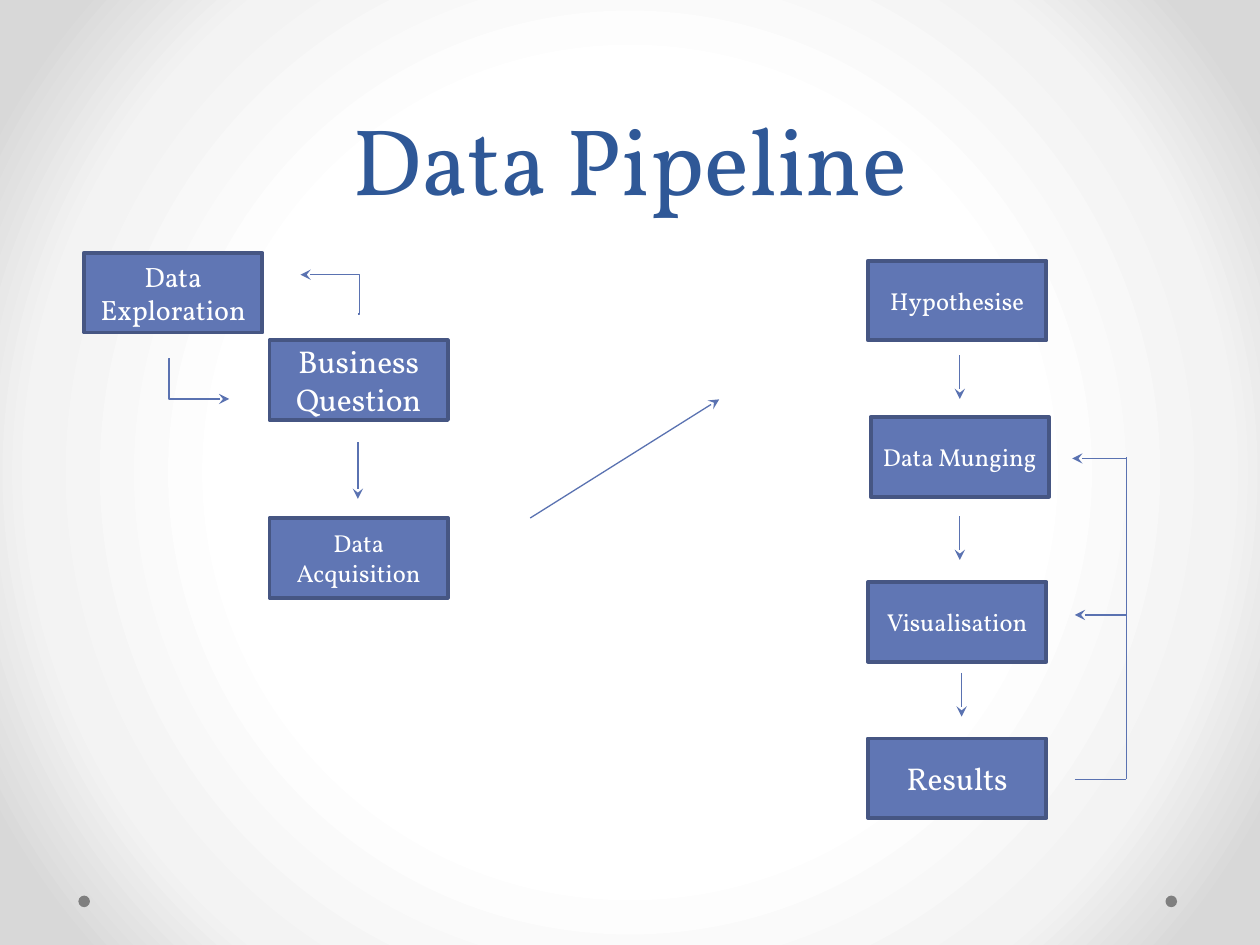
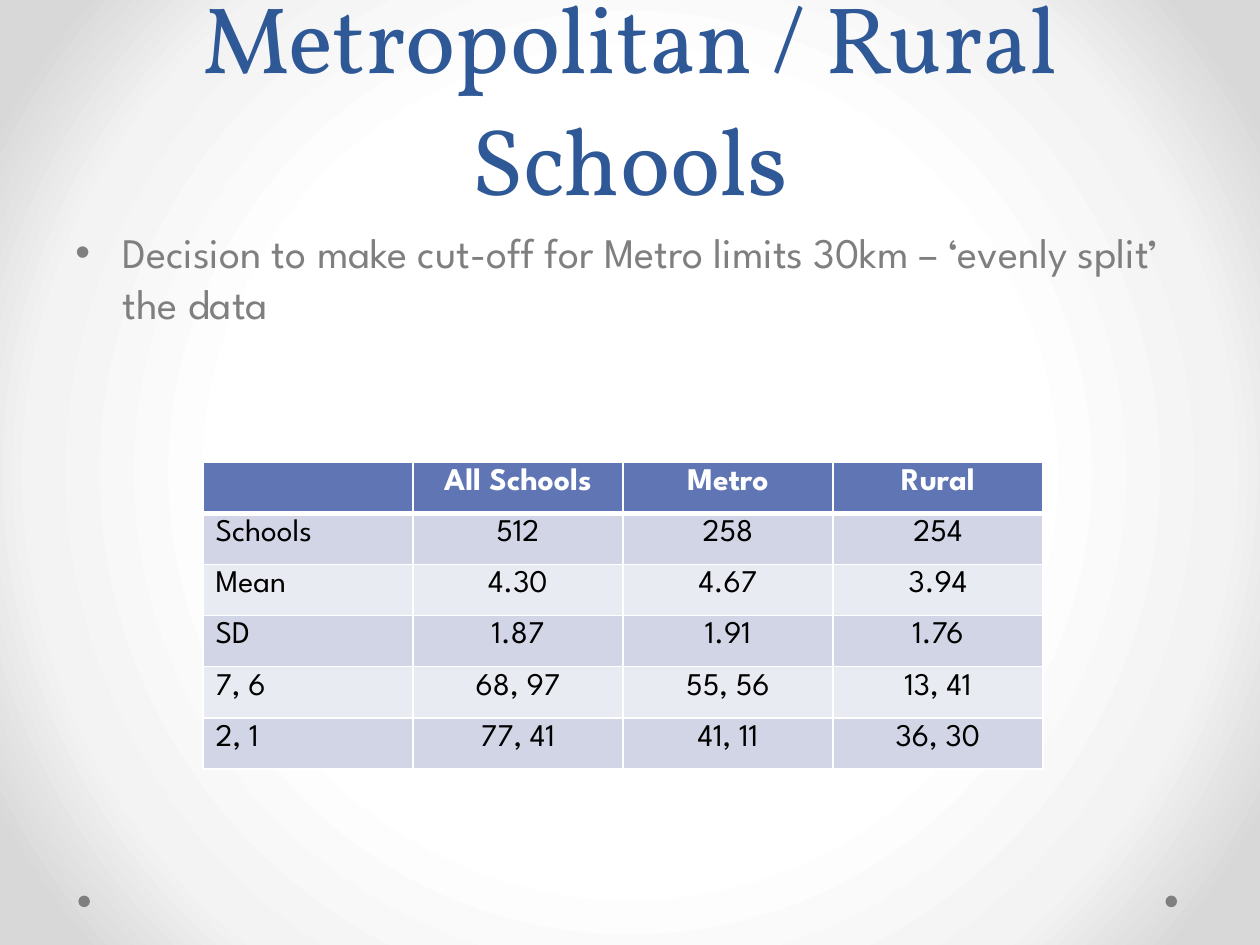
from dataclasses import dataclass

from lxml.etree import SubElement
from pptx import Presentation
from pptx.dml.color import RGBColor
from pptx.enum.shapes import MSO_CONNECTOR, MSO_SHAPE
from pptx.enum.text import MSO_ANCHOR, MSO_AUTO_SIZE, PP_ALIGN
from pptx.oxml import parse_xml
from pptx.oxml.ns import nsdecls, qn
from pptx.util import Pt

WHITE = RGBColor(0xFF, 0xFF, 0xFF)
BLACK = RGBColor(0x00, 0x00, 0x00)
GRAY = RGBColor(0x7F, 0x7F, 0x7F)
TITLE_BLUE = RGBColor(0x2F, 0x58, 0x97)
BOX_BLUE = RGBColor(0x60, 0x76, 0xB4)
BOX_EDGE = RGBColor(0x46, 0x56, 0x83)
ARROW_BLUE = RGBColor(0x5A, 0x72, 0xB1)
BAND_DARK = RGBColor(0xD1, 0xD5, 0xE5)
BAND_LIGHT = RGBColor(0xE9, 0xEB, 0xF2)
BACKGROUND_STOPS = [(0, WHITE), (50, WHITE), (76, RGBColor(0xF3, 0xF3, 0xF3)),
                    (92, RGBColor(0xD8, 0xD8, 0xD8)), (100, RGBColor(0xD8, 0xD8, 0xD8))]
SERIF = "Vollkorn"
SANS = "League Spartan"
STEP_WIDTH, STEP_HEIGHT = 102, 45.5

SCHOOL_ROWS = [
    ["", "All Schools", "Metro", "Rural"],
    ["Schools", "512", "258", "254"],
    ["Mean", "4.30", "4.67", "3.94"],
    ["SD", "1.87", "1.91", "1.76"],
    ["7, 6", "68, 97", "55, 56", "13, 41"],
    ["2, 1", "77, 41", "41, 11", "36, 30"],
]


@dataclass
class Box:
    """A region of a slide, in points."""
    left: float
    top: float
    width: float
    height: float

    def at(self, x, y):
        """Return a point of the region as slide lengths."""
        return Pt(self.left + x), Pt(self.top + y)

    def frame(self):
        """Return left, top, width and height as slide lengths."""
        return Pt(self.left), Pt(self.top), Pt(self.width), Pt(self.height)


TITLE_BOX = Box(36, 0, 648, 126)
BODY_BOX = Box(36, 126, 648, 356)
QUESTION_BOX = Box(48, 144.5, 363, 197)
ANALYSIS_BOX = Box(496, 149, 148, 319)
TABLE_BOX = Box(116, 264.2, 480, 175.2)


def format_runs(paragraph, font_name, size, color, bold=False):
    """Give every run of a paragraph the same font."""
    for run in paragraph.runs:
        run.font.name = font_name
        run.font.size = Pt(size)
        run.font.bold = bold
        run.font.color.rgb = color


def set_background(presentation):
    """Put the radial gradient on the slide master."""
    master = presentation.slide_master
    master.background.fill.solid()
    properties = master.element.find(".//" + qn("p:bgPr"))
    stops = "".join(f'<a:gs pos="{position * 1000}"><a:srgbClr val="{color}"/></a:gs>'
                    for position, color in BACKGROUND_STOPS)
    gradient = parse_xml(
        f'<a:gradFill {nsdecls("a")} rotWithShape="1"><a:gsLst>{stops}</a:gsLst>'
        '<a:path path="circle"><a:fillToRect l="50000" t="50000" r="50000" b="50000"/>'
        '</a:path></a:gradFill>')
    properties.replace(properties[0], gradient)


def add_titled_slide(presentation, title_text):
    """Add a slide with the corner dots and a formatted title."""
    slide = presentation.slides.add_slide(presentation.slide_layouts[5])
    for left in (666, 44.8):
        dot = slide.shapes.add_shape(MSO_SHAPE.OVAL, Pt(left), Pt(511.8), Pt(6.6), Pt(6.6))
        dot.shadow.inherit = False
        dot.fill.solid()
        dot.fill.fore_color.rgb = GRAY
        dot.line.fill.background()
    title = slide.shapes.title
    title.left, title.top, title.width, title.height = TITLE_BOX.frame()
    text_frame = title.text_frame
    text_frame.text = title_text
    text_frame.auto_size = MSO_AUTO_SIZE.NONE
    text_frame.vertical_anchor = MSO_ANCHOR.BOTTOM
    paragraph = text_frame.paragraphs[0]
    paragraph.alignment = PP_ALIGN.CENTER
    paragraph.line_spacing = 1.07
    format_runs(paragraph, SERIF, 54, TITLE_BLUE)
    return slide


def add_step(slide, box, x, y, label, size):
    """Add one labelled step of the pipeline."""
    step = slide.shapes.add_shape(MSO_SHAPE.RECTANGLE, *box.at(x, y),
                                  Pt(STEP_WIDTH), Pt(STEP_HEIGHT))
    step.shadow.inherit = False
    step.fill.solid()
    step.fill.fore_color.rgb = BOX_BLUE
    step.line.color.rgb = BOX_EDGE
    step.line.width = Pt(2.25)
    text_frame = step.text_frame
    text_frame.text = label
    text_frame.word_wrap = True
    text_frame.vertical_anchor = MSO_ANCHOR.MIDDLE
    paragraph = text_frame.paragraphs[0]
    paragraph.alignment = PP_ALIGN.CENTER
    format_runs(paragraph, SERIF, size, WHITE)


def add_link(slide, box, start, end, arrow=True, bend=None):
    """Add a straight link, or an elbow link when a bend is given."""
    kind = MSO_CONNECTOR.STRAIGHT if bend is None else MSO_CONNECTOR.ELBOW
    link = slide.shapes.add_connector(kind, *box.at(*start), *box.at(*end))
    link.line.color.rgb = ARROW_BLUE
    link.line.width = Pt(0.75)
    properties = link.element.spPr
    if arrow:
        SubElement(properties.find(qn("a:ln")), qn("a:tailEnd"), type="stealth")
    if bend is not None:
        adjustments = properties.find(qn("a:prstGeom")).find(qn("a:avLst"))
        SubElement(adjustments, qn("a:gd"), name="adj1", fmla=f"val {bend}")
    SubElement(properties, qn("a:effectLst"))


def add_question_steps(slide, box):
    """Place the exploration loop and the acquisition step."""
    add_step(slide, box, 0, 0, "Data Exploration", 16)
    add_step(slide, box, 106, 50, "Business Question", 18)
    add_step(slide, box, 106, 151.5, "Data Acquisition", 14)
    add_link(slide, box, (49, 60.5), (83, 83.5), bend=-1400)
    add_link(slide, box, (156.5, 35), (123.7, 12.5), bend=-3100)
    add_link(slide, box, (156.5, 108.2), (156.5, 140.6))
    add_link(slide, box, (255, 151.5), (363, 83.7))


def add_analysis_steps(slide, box):
    """Place the analysis column and its feedback lines."""
    add_step(slide, box, 0, 0, "Hypothesise", 14)
    add_step(slide, box, 1.5, 89.3, "Data Munging", 14)
    add_step(slide, box, 0, 183.6, "Visualisation", 14)
    add_step(slide, box, 0, 273, "Results", 18)
    for x, y in ((52.5, 54), (52.5, 146), (53.5, 235.5)):
        add_link(slide, box, (x, y), (x, y + 25))
    feedback_x = box.width - 0.3
    add_link(slide, box, (118.2, 296.5), (feedback_x, 296.5), arrow=False)
    add_link(slide, box, (feedback_x, 202.4), (118.2, 202.4))
    add_link(slide, box, (feedback_x, 112.4), (feedback_x, 296), arrow=False)
    add_link(slide, box, (feedback_x, 113), (116.7, 113))


def add_bullet(slide, box, text):
    """Add a text box with one bulleted paragraph."""
    text_frame = slide.shapes.add_textbox(*box.frame()).text_frame
    text_frame.word_wrap = True
    text_frame.text = text
    paragraph = text_frame.paragraphs[0]
    properties = paragraph._p.get_or_add_pPr()
    properties.set("marL", str(Pt(27)))
    properties.set("indent", str(-Pt(27)))
    bullet_color = SubElement(properties, qn("a:buClr"))
    SubElement(bullet_color, qn("a:srgbClr"), val=str(GRAY))
    SubElement(properties, qn("a:buFont"), typeface="Arial")
    SubElement(properties, qn("a:buChar"), char="•")
    format_runs(paragraph, SANS, 24, GRAY)


def set_borders(cell, bottom_width, top_width):
    """Draw white borders around a table cell."""
    properties = cell._tc.get_or_add_tcPr()
    widths = {"lnL": 1, "lnR": 1, "lnT": top_width, "lnB": bottom_width}
    for position, (side, width) in enumerate(widths.items()):
        properties.insert(position, parse_xml(
            f'<a:{side} {nsdecls("a")} w="{Pt(width)}"><a:solidFill>'
            f'<a:srgbClr val="{WHITE}"/></a:solidFill></a:{side}>'))


def add_school_table(slide, box, rows):
    """Add the table with a header row and banded data rows."""
    table = slide.shapes.add_table(len(rows), len(rows[0]), *box.frame()).table
    for column in table.columns:
        column.width = Pt(box.width / len(rows[0]))
    for row_index, values in enumerate(rows):
        header = row_index == 0
        table.rows[row_index].height = Pt(box.height / len(rows))
        band = BOX_BLUE if header else (BAND_LIGHT, BAND_DARK)[row_index % 2]
        for column_index, value in enumerate(values):
            cell = table.cell(row_index, column_index)
            cell.text_frame.text = value
            cell.fill.solid()
            cell.fill.fore_color.rgb = band
            set_borders(cell, 3 if header else 1, 3 if row_index == 1 else 1)
            paragraph = cell.text_frame.paragraphs[0]
            paragraph.alignment = PP_ALIGN.CENTER if column_index else PP_ALIGN.LEFT
            format_runs(paragraph, SANS, 18, WHITE if header else BLACK, header)


def build_pipeline_slide(presentation):
    """Build the data pipeline diagram."""
    slide = add_titled_slide(presentation, "Data Pipeline")
    add_question_steps(slide, QUESTION_BOX)
    add_analysis_steps(slide, ANALYSIS_BOX)


def build_schools_slide(presentation):
    """Build the comparison of metropolitan and rural schools."""
    slide = add_titled_slide(presentation, "Metropolitan / Rural Schools")
    add_bullet(slide, BODY_BOX,
               "Decision to make cut-off for Metro limits 30km – ‘evenly split’ the data")
    add_school_table(slide, TABLE_BOX, SCHOOL_ROWS)


def main():
    """Build and save the presentation."""
    presentation = Presentation()
    presentation.slide_width, presentation.slide_height = Pt(720), Pt(540)
    set_background(presentation)
    build_pipeline_slide(presentation)
    build_schools_slide(presentation)
    presentation.save("out.pptx")


if __name__ == "__main__":
    main()
